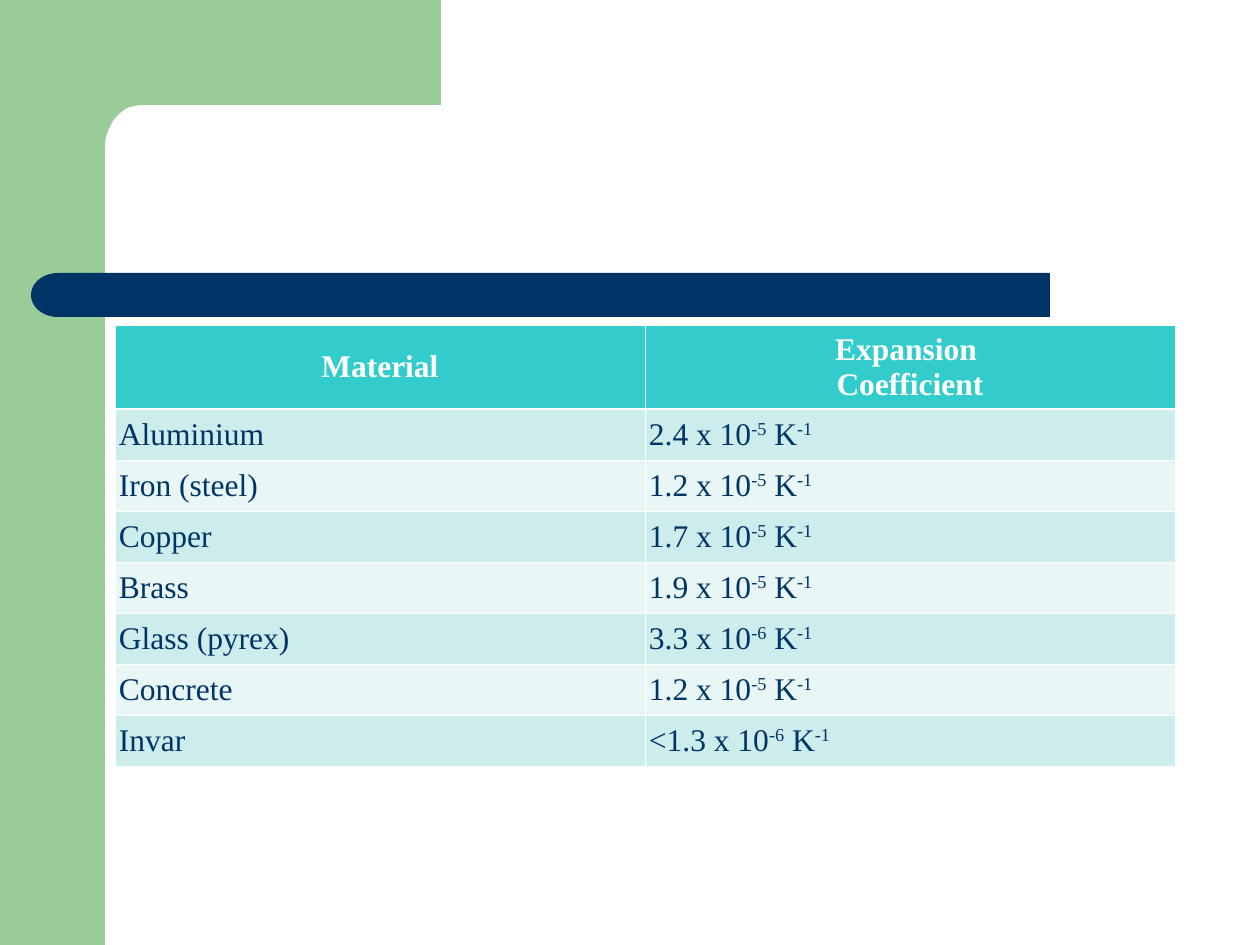
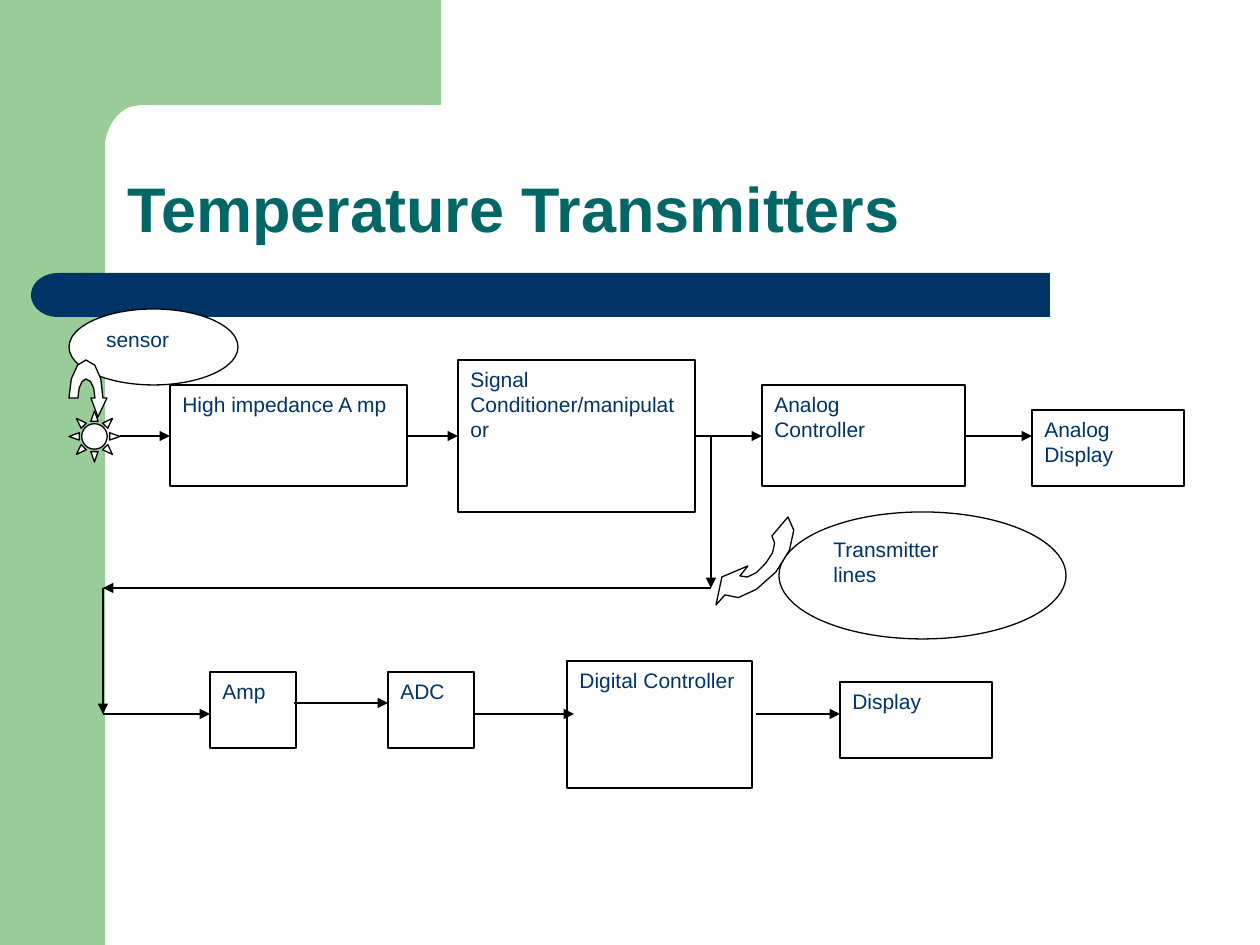
from pptx import Presentation
from pptx.dml.color import RGBColor
from pptx.enum.shapes import MSO_CONNECTOR as Link, MSO_SHAPE as Kind
from pptx.enum.text import MSO_ANCHOR as Anchor, PP_ALIGN as Align
from pptx.oxml.ns import qn
from pptx.util import Pt
from lxml.etree import SubElement as sub

PX = 914400 / 126
GREEN, NAVY, TEAL = "99CC99", "003366", "006666"
WHITE, BLACK, HEAD = "FFFFFF", "000000", "33CCCC"
BANDS = ["CDECEC", "E8F6F6"]
rgb = RGBColor.from_string


def style(shape, fill, edge=None):
    shape.shadow.inherit = False
    shape.fill.solid()
    shape.fill.fore_color.rgb = rgb(fill)
    if edge:
        shape.line.color.rgb = rgb(edge)
        shape.line.width = Pt(0.75)
    else:
        shape.line.fill.background()


def trace(page, start, steps, fill, edge=None):
    """Draw an outline; a step of 2 numbers is a line, one of 6 a curve."""
    dots = [start]
    for step in steps:
        if len(step) == 2:
            dots.append(step)
            continue
        ends = [dots[-1], step[:2], step[2:4], step[4:]]
        for t in (1 / 3, 2 / 3, 1):
            rates = [(1 - t) ** 3, 3 * t * (1 - t) ** 2, 3 * t * t * (1 - t), t ** 3]
            dots.append([sum(r * e[k] for r, e in zip(rates, ends)) for k in (0, 1)])
    dots = [(x * PX, y * PX) for x, y in dots]
    pen = page.shapes.build_freeform(*dots[0], scale=1.0)
    pen.add_line_segments(dots[1:], close=True)
    style(pen.convert_to_shape(), fill, edge)


deck = Presentation()
deck.slide_width, deck.slide_height = int(1260 * PX), int(945 * PX)

# Shared side band, corner and bar
CORNER = [(441, 105), (146, 105), (140, 105), (130, 107),
          (126, 108, 121, 112, 117, 116), (113, 120, 110, 126, 108, 131),
          (106, 136, 105, 141, 105, 146), (105, 161), (63, 161), (63, 0)]
pages = [deck.slides.add_slide(deck.slide_layouts[6]) for _ in range(2)]
for page in pages:
    side = page.shapes.add_shape(Kind.RECTANGLE, 0, 0, int(105 * PX), deck.slide_height)
    style(side, GREEN)
    trace(page, (441, 0), CORNER, GREEN)
    for kind, left, wide, turn in [(Kind.RECTANGLE, 84, 966, 0),
                                   (Kind.FLOWCHART_DELAY, 31, 54, 180)]:
        bar = page.shapes.add_shape(kind, *[int(n * PX) for n in (left, 273, wide, 44)])
        bar.rotation = turn
        style(bar, NAVY)
first, second = pages

# Slide 1: table of expansion coefficients
rows = [("Aluminium", "2.4", "-5"), ("Iron (steel)", "1.2", "-5"),
        ("Copper", "1.7", "-5"), ("Brass", "1.9", "-5"),
        ("Glass (pyrex)", "3.3", "-6"), ("Concrete", "1.2", "-5"),
        ("Invar", "<1.3", "-6")]
texts = [(["Material"], ["Expansion \nCoefficient"])]
texts += [([name], [num + " x 10", power, " K", "-1"]) for name, num, power in rows]
frame = first.shapes.add_table(8, 2, *[int(n * PX) for n in (115, 325, 1060, 441)])
table = frame.table
for col in table.columns:
    col.width = int(530 * PX)
for r, pair in enumerate(texts):
    table.rows[r].height = int((51 if r else 84) * PX)
    for c, parts in enumerate(pair):
        cell = table.cell(r, c)
        cell.margin_left = cell.margin_right = int(4 * PX)
        cell.margin_top = cell.margin_bottom = int(6 * PX)
        cell.vertical_anchor = Anchor.MIDDLE
        # White cell borders, thicker under the header
        props = cell._tc.get_or_add_tcPr()
        for edge in ("L", "R", "T", "B"):
            thick = (r, edge) in [(0, "B"), (1, "T")]
            ln = sub(props, qn("a:ln" + edge), w=str(Pt(1.47 if thick else 0.45)))
            sub(sub(ln, qn("a:solidFill")), qn("a:srgbClr"), val=WHITE)
        cell.fill.solid()
        cell.fill.fore_color.rgb = rgb(BANDS[(r - 1) % 2] if r else HEAD)
        para = cell.text_frame.paragraphs[0]
        para.alignment = Align.LEFT if r else Align.CENTER
        font = para.font
        font.name, font.size, font.bold = "Times New Roman", Pt(18), r == 0
        font.color.rgb = rgb(NAVY if r else WHITE)
        if len(parts) == 1:
            para.text = parts[0]
            continue
        for i, part in enumerate(parts):
            run = para.add_run()
            run.text = part
            if i % 2:
                run._r.get_or_add_rPr().set("baseline", "30000")

# Slide 2: title
title = second.shapes.add_textbox(*[int(n * PX) for n in (115, 115, 1072, 137)])
body = title.text_frame
body.word_wrap, body.vertical_anchor = True, Anchor.BOTTOM
para = body.paragraphs[0]
para.text, para.line_spacing = "Temperature Transmitters", 0.9
font = para.font
font.name, font.size, font.bold = "Arial", Pt(36), True
font.color.rgb = rgb(TEAL)

# Blocks, ovals and the sensor sun
box, oval = Kind.RECTANGLE, Kind.OVAL
blocks = [(box, 170, 385, 237, 101, "High impedance A mp"),
          (box, 458, 360, 237, 152, "Signal Conditioner/manipulator"),
          (box, 762, 385, 203, 101, "Analog\nController"),
          (box, 1032, 410, 152, 76, "Analog Display"),
          (box, 210, 672, 86, 76, "Amp"),
          (box, 388, 672, 86, 76, "ADC"),
          (box, 567, 661, 185, 127, "Digital Controller"),
          (box, 840, 682, 152, 76, "Display"),
          (oval, 779, 512, 287, 127, "Transmitter\nlines"),
          (Kind.SUN, 69, 411, 51, 51, ""),
          (oval, 69, 309, 169, 76, "sensor")]
for kind, *spot, text in blocks:
    block = second.shapes.add_shape(kind, *[int(n * PX) for n in spot])
    style(block, WHITE, BLACK)
    if not text:
        continue
    body = block.text_frame
    body.word_wrap, body.vertical_anchor = True, Anchor.TOP
    body.text = text
    for para in body.paragraphs:
        para.alignment = Align.LEFT
        para.font.name, para.font.size = "Arial", Pt(12)
        para.font.color.rgb = rgb(NAVY)

# Signal arrows
wires = [(120, 436, 170, 436), (407, 436, 458, 436), (695, 436, 762, 436),
         (965, 436, 1032, 436), (711, 436, 711, 588), (711, 588, 103, 588),
         (103, 588, 103, 714), (103, 714, 210, 714), (294, 703, 388, 703),
         (473, 714, 574, 714), (756, 714, 840, 714)]
for ends in wires:
    wire = second.shapes.add_connector(Link.STRAIGHT, *[int(n * PX) for n in ends])
    wire.line.color.rgb = rgb(BLACK)
    wire.line.width = Pt(0.75)
    props = wire._element.spPr
    sub(props.find(qn("a:ln")), qn("a:tailEnd"), type="triangle")
    sub(props, qn("a:effectLst"))

# Curved pointers from the ovals
trace(second, (740, 576),
      [(746, 580, 757, 575, 766, 563), (775, 553, 777, 541, 772, 536), (788, 517),
       (799, 525, 794, 551, 776, 572), (757, 593, 735, 604, 725, 595),
       (716, 605), (722, 577), (748, 566)], WHITE, BLACK)
trace(second, (95, 398),
      [(95, 387, 91, 379, 86, 379), (82, 379, 78, 387, 78, 398), (69, 398),
       (69, 377, 77, 360, 86, 360), (96, 360, 103, 377, 103, 398),
       (107, 398), (98, 417), (91, 398)], WHITE, BLACK)

deck.save("out.pptx")
